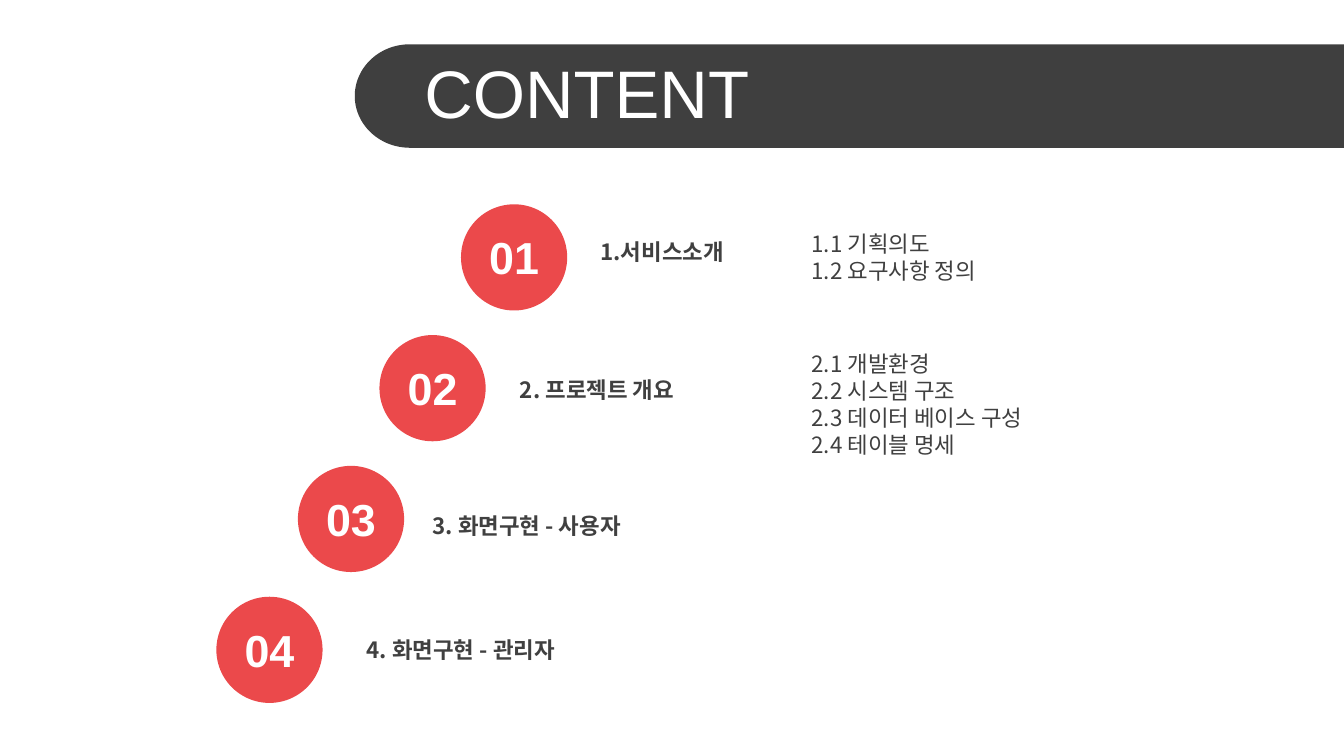
import math
from dataclasses import dataclass

import pptx
import pptx.dml.color
import pptx.enum.shapes
import pptx.enum.text
import pptx.oxml.ns
import pptx.slide
import pptx.util
from lxml import etree

Inches = pptx.util.Inches
RGBColor = pptx.dml.color.RGBColor
Align = pptx.enum.text.PP_ALIGN

CHARCOAL = RGBColor(0x3F, 0x3F, 0x3F)
TEXT_GRAY = RGBColor(0x40, 0x40, 0x40)
RED = RGBColor(0xEB, 0x49, 0x4B)
WHITE = RGBColor(0xFF, 0xFF, 0xFF)
LATIN_FONT = "Arial"
KOREAN_FONT = "Noto Sans CJK KR"

SLIDE_WIDTH = 10
SLIDE_HEIGHT = SLIDE_WIDTH * 9 / 16
BANNER_LEFT, BANNER_TOP, BANNER_HEIGHT, BANNER_CURVE = 2.64, 0.33, 0.77, 0.41
CIRCLE_SIZE = 0.79
FIRST_LEFT, LAST_LEFT = 3.43, 1.61
FIRST_TOP, LAST_TOP = 1.52, 4.44
NUMBER_OFFSET, NUMBER_HEIGHT = 0.14, 0.5
ENTRY_WIDTH, HEADING_HEIGHT, DETAIL_LEFT = 5.04, 0.3, 5.94


@dataclass(frozen=True)
class Box:
    left: float
    top: float
    width: float
    height: float


@dataclass(frozen=True)
class TextStyle:
    size: int
    font: str
    color: RGBColor
    bold: bool = False
    align: Align = Align.LEFT


@dataclass(frozen=True)
class Section:
    heading: str
    heading_left: float
    heading_top: float
    details: str = ""
    detail_top: float = 0
    detail_height: float = 0


TITLE_STYLE = TextStyle(36, LATIN_FONT, WHITE)
NUMBER_STYLE = TextStyle(24, LATIN_FONT, WHITE, True, Align.CENTER)
HEADING_STYLE = TextStyle(12, KOREAN_FONT, TEXT_GRAY, True)
DETAIL_STYLE = TextStyle(12, KOREAN_FONT, TEXT_GRAY)

SECTIONS = [
    Section("1.서비스소개", 4.37, 1.72,
            "1.1 기획의도\n1.2 요구사항 정의", 1.66, 0.5),
    Section("2. 프로젝트 개요", 3.77, 2.75,
            "2.1 개발환경\n2.2 시스템 구조\n2.3 데이터 베이스 구성\n2.4 테이블 명세",
            2.55, 0.91),
    Section("3. 화면구현 - 사용자", 3.12, 3.76),
    Section("4. 화면구현 - 관리자", 2.63, 4.68),
]


def add_text(slide: pptx.slide.Slide, box: Box, text: str, style: TextStyle) -> None:
    shape = slide.shapes.add_textbox(
        Inches(box.left), Inches(box.top), Inches(box.width), Inches(box.height))
    text_frame = shape.text_frame
    text_frame.word_wrap = True
    text_frame.vertical_anchor = pptx.enum.text.MSO_ANCHOR.MIDDLE
    text_frame.text = text
    for paragraph in text_frame.paragraphs:
        paragraph.alignment = style.align
        for run in paragraph.runs:
            run.font.size = pptx.util.Pt(style.size)
            run.font.name = style.font
            run.font.bold = style.bold
            run.font.color.rgb = style.color
            east_asian = etree.SubElement(
                run.font._element, pptx.oxml.ns.qn("a:ea"))
            east_asian.set("typeface", style.font)


def paint(shape, color: RGBColor) -> None:
    shape.shadow.inherit = False
    shape.fill.solid()
    shape.fill.fore_color.rgb = color
    shape.line.fill.background()


def add_banner(slide: pptx.slide.Slide) -> None:
    center_x = BANNER_LEFT + BANNER_CURVE
    radius_y = BANNER_HEIGHT / 2
    center_y = BANNER_TOP + radius_y
    bottom = BANNER_TOP + BANNER_HEIGHT
    angles = [math.radians(degrees) for degrees in range(90, 271, 3)]
    curve = [(Inches(center_x + BANNER_CURVE * math.cos(angle)),
              Inches(center_y + radius_y * math.sin(angle))) for angle in angles]
    right = Inches(SLIDE_WIDTH)
    builder = slide.shapes.build_freeform(right, Inches(BANNER_TOP))
    builder.add_line_segments([(right, Inches(bottom)), *curve], close=True)
    paint(builder.convert_to_shape(), CHARCOAL)


def add_section(slide: pptx.slide.Slide, index: int, section: Section) -> None:
    progress = index / (len(SECTIONS) - 1)
    left = FIRST_LEFT + (LAST_LEFT - FIRST_LEFT) * progress
    top = FIRST_TOP + (LAST_TOP - FIRST_TOP) * progress
    circle = slide.shapes.add_shape(
        pptx.enum.shapes.MSO_SHAPE.OVAL,
        Inches(left), Inches(top), Inches(CIRCLE_SIZE), Inches(CIRCLE_SIZE))
    paint(circle, RED)
    add_text(slide, Box(left, top + NUMBER_OFFSET, CIRCLE_SIZE, NUMBER_HEIGHT),
             f"{index + 1:02d}", NUMBER_STYLE)
    add_text(slide, Box(section.heading_left, section.heading_top,
                        ENTRY_WIDTH, HEADING_HEIGHT),
             section.heading, HEADING_STYLE)
    if section.details:
        add_text(slide, Box(DETAIL_LEFT, section.detail_top,
                            ENTRY_WIDTH, section.detail_height),
                 section.details, DETAIL_STYLE)


def main() -> None:
    presentation = pptx.Presentation()
    presentation.slide_width = Inches(SLIDE_WIDTH)
    presentation.slide_height = Inches(SLIDE_HEIGHT)
    slide = presentation.slides.add_slide(presentation.slide_layouts[6])
    add_banner(slide)
    add_text(slide, Box(3.06, 0.37, 6.94, 0.63), "CONTENT", TITLE_STYLE)
    for index, section in enumerate(SECTIONS):
        add_section(slide, index, section)
    presentation.save("out.pptx")


if __name__ == "__main__":
    main()
